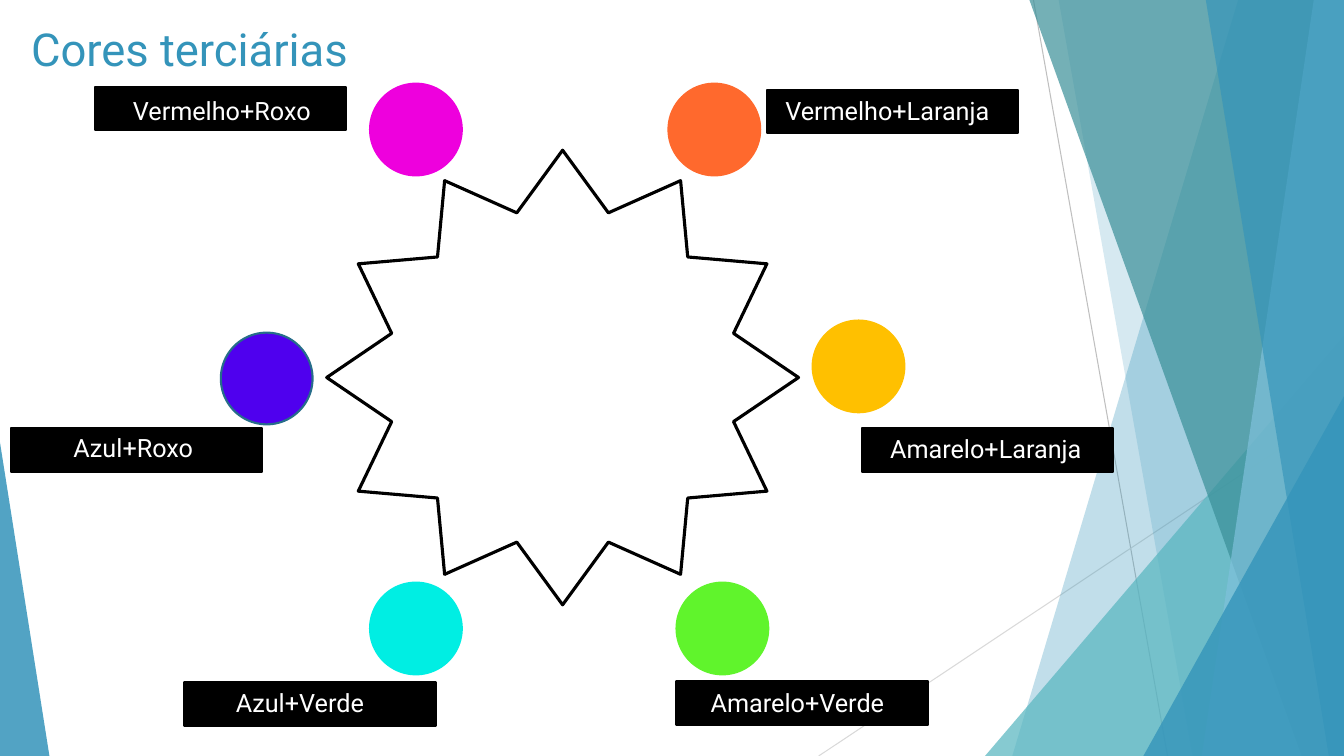
from dataclasses import dataclass

from lxml import etree
from pptx import Presentation
from pptx.dml.color import RGBColor
from pptx.enum.shapes import MSO_CONNECTOR, MSO_SHAPE as SHAPE
from pptx.enum.text import MSO_ANCHOR as ANCHOR
from pptx.oxml.ns import qn
from pptx.util import Inches, Pt


@dataclass(frozen=True)
class Theme:
    font: str = "Roboto"
    title_size: float = 32.4
    label_size: float = 18
    blue: str = "3494BA"
    sky: str = "7FC1DB"
    teal: str = "58B6C0"
    dark_teal: str = "3A8F98"
    black: str = "000000"
    white: str = "FFFFFF"


THEME = Theme()
WIDTH, HEIGHT = 13.33, 7.5
DISC = 0.91
PLATE_W, PLATE_H = 2.49, 0.43

# Colour name, disc colour, disc outline, disc corner, plate corner, text corner
COLOURS = [
    ("Vermelho+Roxo", "EE00DD", "EE00DD", (3.67, 0.83), (0.94, 0.86), (1.22, 0.9)),
    ("Vermelho+Laranja", "FF692D", "FF692D", (6.63, 0.83), (7.61, 0.89), (7.69, 0.9)),
    ("Azul+Roxo", "4F00EE", "266D8A", (2.19, 3.3), (0.11, 4.25), (0.63, 4.24)),
    ("Amarelo+Laranja", "FFC000", "FFC000", (8.06, 3.18), (8.55, 4.25), (8.73, 4.25)),
    ("Azul+Verde", "00EEE3", "00EEE3", (3.67, 5.78), (1.83, 6.77), (2.24, 6.77)),
    ("Amarelo+Verde", "60F42C", "60F42C", (6.71, 5.78), (6.71, 6.76), (6.95, 6.77)),
]


def rgb(code):
    return RGBColor.from_string(code)


def style(sp, fill=None, line=None, width=1.5, opacity=100):
    """Flat look: optional fill with opacity in percent, optional outline."""
    sp.shadow.inherit = False
    if fill:
        sp.fill.solid()
        sp.fill.fore_color.rgb = rgb(fill)
        if opacity < 100:
            color = sp.fill._xPr.find(qn("a:solidFill"))[0]
            etree.SubElement(color, qn("a:alpha")).set("val", str(opacity * 1000))
    else:
        sp.fill.background()
    if line:
        sp.line.color.rgb = rgb(line)
        sp.line.width = Pt(width)
    else:
        sp.line.fill.background()


def add_preset(s, kind, box, **look):
    sp = s.shapes.add_shape(kind, *map(Inches, box))
    style(sp, **look)
    return sp


def add_text(s, text, box, size, color, anchor=ANCHOR.TOP):
    tf = s.shapes.add_textbox(*map(Inches, box)).text_frame
    tf.word_wrap = True
    tf.vertical_anchor = anchor
    p = tf.paragraphs[0]
    p.text = text
    p.font.name = THEME.font
    p.font.size = Pt(size)
    p.font.color.rgb = rgb(color)


def add_hairline(s, start, end, color):
    line = s.shapes.add_connector(MSO_CONNECTOR.STRAIGHT, *map(Inches, start + end))
    line.line.color.rgb = rgb(color)
    line.line.width = Pt(0.75)
    etree.SubElement(line._element.spPr, qn("a:effectLst"))


def add_facet(s, top_x, bottom_x, color, opacity):
    """Full-height band from a slanted left edge to the right slide edge."""
    right, bottom = Inches(WIDTH), Inches(HEIGHT)
    outline = s.shapes.build_freeform(Inches(top_x), 0)
    outline.add_line_segments(
        [(right, 0), (right, bottom), (Inches(bottom_x), bottom)], close=True)
    style(outline.convert_to_shape(), fill=color, opacity=opacity)


def add_corner(s, left, width, height, apex, color, opacity):
    """Triangle on the bottom edge; apex is a share of its width."""
    sp = add_preset(s, SHAPE.ISOSCELES_TRIANGLE, (left, HEIGHT - height, width, height),
                    fill=color, opacity=opacity)
    sp.adjustments[0] = apex


def draw_background(s):
    add_hairline(s, (10.25, 0), (11.58, HEIGHT), "BFBFBF")
    add_hairline(s, (WIDTH, 4.03), (8.12, HEIGHT), "D9D9D9")
    add_facet(s, 12.28, 10.04, THEME.blue, 30)
    add_facet(s, 10.5, 11.83, THEME.blue, 20)
    add_corner(s, 9.77, 3.56, 4.17, 1, THEME.teal, 72)
    add_facet(s, 10.21, 12.91, THEME.dark_teal, 70)
    add_facet(s, 13.03, 11.92, THEME.sky, 70)
    add_facet(s, 11.96, 13.18, THEME.blue, 65)
    add_corner(s, 11.34, 1.99, 3.57, 1, THEME.blue, 80)
    add_corner(s, 0, 0.49, 3.11, 0, THEME.blue, 85)


def draw_wheel(s, box):
    add_preset(s, SHAPE.STAR_12_POINT, box, line=THEME.black, width=2.25)
    # Discs first, so that the name plates lie over them
    for _, fill, line, disc, _, _ in COLOURS:
        add_preset(s, SHAPE.OVAL, (*disc, DISC, DISC), fill=fill, line=line)
    for name, _, _, _, plate, text in COLOURS:
        add_preset(s, SHAPE.RECTANGLE, (*plate, PLATE_W, PLATE_H),
                   fill=THEME.black, line=THEME.black)
        add_text(s, name, (*text, PLATE_W, 0.4), THEME.label_size, THEME.white)


def main():
    prs = Presentation()
    prs.slide_width, prs.slide_height = Inches(WIDTH), Inches(HEIGHT)
    s = prs.slides.add_slide(prs.slide_layouts[6])
    draw_background(s)
    add_text(s, "Cores terciárias", (0.21, 0.15, 9.4, 0.67),
             THEME.title_size, THEME.blue, ANCHOR.MIDDLE)
    draw_wheel(s, (3.24, 1.49, 4.68, 4.51))
    prs.save("out.pptx")


if __name__ == "__main__":
    main()
